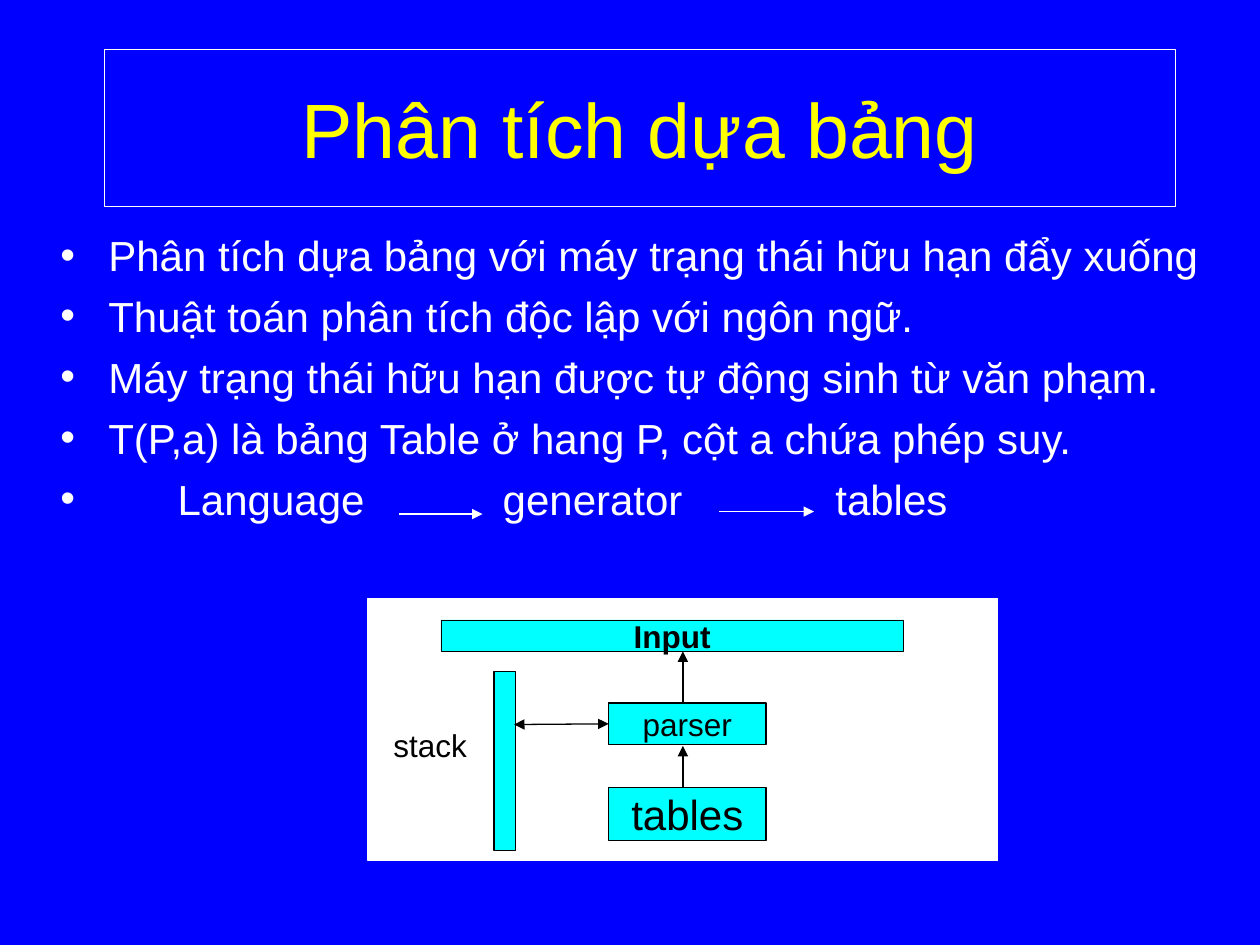
from lxml import etree
from pptx import Presentation
from pptx.dml.color import RGBColor
from pptx.enum.shapes import MSO_CONNECTOR, MSO_SHAPE
from pptx.enum.text import MSO_ANCHOR, MSO_AUTO_SIZE, PP_ALIGN
from pptx.oxml.ns import qn
from pptx.util import Inches, Pt

STRAIGHT = MSO_CONNECTOR.STRAIGHT
RECTANGLE = MSO_SHAPE.RECTANGLE
TOP, MIDDLE = MSO_ANCHOR.TOP, MSO_ANCHOR.MIDDLE
NO_AUTOFIT = MSO_AUTO_SIZE.NONE
LEFT, CENTER = PP_ALIGN.LEFT, PP_ALIGN.CENTER
LEFT_SIDE = 1

BLUE, YELLOW, CYAN = "0000FF", "FFFF00", "00FFFF"
WHITE, BLACK = "FFFFFF", "000000"

BULLETS = [
    "Phân tích dựa bảng với máy trạng thái hữu hạn đẩy xuống",
    "Thuật toán phân tích độc lập với ngôn ngữ.",
    "Máy trạng thái hữu hạn được tự động sinh từ văn phạm.",
    "T(P,a) là bảng Table ở hang P, cột a chứa phép suy.",
    "\tLanguage\tgenerator\ttables",
]
FLOW_TABS = [0.93, 3.51, 6.15]


def color(hex_string):
    return RGBColor.from_string(hex_string)


class SlideBuilder:
    font_name = "Arial"
    indent = 0.38

    def __init__(self, slide):
        self.slide = slide
        slide.background.fill.solid()
        slide.background.fill.fore_color.rgb = color(BLUE)

    def set_font(self, paragraph, size, font_color, bold=False):
        font = paragraph.font
        font.name, font.size, font.bold = self.font_name, Pt(size), bold
        font.color.rgb = color(font_color)

    def set_line(self, line, line_color, width):
        line.color.rgb = color(line_color)
        line.width = Pt(width)

    def place(self, shape, left, top, width, height):
        shape.left, shape.top = Inches(left), Inches(top)
        shape.width, shape.height = Inches(width), Inches(height)

    def title(self, text, *box):
        shape = self.slide.shapes.title
        self.place(shape, *box)
        self.set_line(shape.line, WHITE, 0.5)
        frame = shape.text_frame
        frame.text = text
        frame.auto_size, frame.vertical_anchor = NO_AUTOFIT, MIDDLE
        paragraph = frame.paragraphs[0]
        paragraph.alignment = CENTER
        self.set_font(paragraph, 44, YELLOW)

    def add_bullet(self, paragraph, tabs):
        properties = paragraph._p.get_or_add_pPr()
        properties.set("marL", str(Inches(self.indent)))
        properties.set("indent", str(-Inches(self.indent)))
        bullet_color = etree.SubElement(properties, qn("a:buClr"))
        etree.SubElement(bullet_color, qn("a:srgbClr"), val=WHITE)
        etree.SubElement(properties, qn("a:buChar"), char="•")
        if tabs:
            tab_list = etree.SubElement(properties, qn("a:tabLst"))
            for position in tabs:
                etree.SubElement(tab_list, qn("a:tab"), pos=str(Inches(position)), algn="l")

    def bullets(self, lines, *box):
        shape = self.slide.placeholders[1]
        self.place(shape, *box)
        frame = shape.text_frame
        frame.text = "\n".join(lines)
        frame.auto_size, frame.vertical_anchor = NO_AUTOFIT, TOP
        for index, paragraph in enumerate(frame.paragraphs):
            self.add_bullet(paragraph, FLOW_TABS if "\t" in lines[index] else [])
            paragraph.alignment = LEFT
            paragraph.space_before = Pt(6 if index else 0)
            self.set_font(paragraph, 24, WHITE)

    def box(self, left, top, width, height, text="", fill=CYAN, line=BLACK,
            line_width=0.75, size=18, bold=False):
        shape = self.slide.shapes.add_shape(
            RECTANGLE, Inches(left), Inches(top), Inches(width), Inches(height))
        shape.shadow.inherit = False
        shape.fill.solid()
        shape.fill.fore_color.rgb = color(fill)
        self.set_line(shape.line, line, line_width)
        if text:
            frame = shape.text_frame
            frame.text = text
            frame.word_wrap, frame.vertical_anchor = False, MIDDLE
            paragraph = frame.paragraphs[0]
            paragraph.alignment = CENTER
            self.set_font(paragraph, size, BLACK, bold)
        return shape

    def arrow(self, start, end, line_color=BLACK, both_ends=False):
        connector = self.slide.shapes.add_connector(
            STRAIGHT, *(Inches(value) for value in (*start, *end)))
        self.set_line(connector.line, line_color, 0.75)
        line = connector.line._get_or_add_ln()
        for tag in ("a:headEnd", "a:tailEnd") if both_ends else ("a:tailEnd",):
            etree.SubElement(line, qn(tag), type="triangle")
        etree.SubElement(connector._element.spPr, qn("a:effectLst"))
        return connector


def main():
    presentation = Presentation()
    presentation.slide_width, presentation.slide_height = Inches(10), Inches(7.5)
    builder = SlideBuilder(presentation.slides.add_slide(presentation.slide_layouts[1]))

    builder.title("Phân tích dựa bảng", 0.83, 0.39, 8.5, 1.25)
    builder.bullets(BULLETS, 0.38, 1.77, 9.42, 5.48)
    builder.arrow((3.17, 4.08), (3.83, 4.08), WHITE)
    builder.arrow((5.71, 4.06), (6.46, 4.06), WHITE)

    builder.box(2.92, 4.75, 5, 2.08, fill=WHITE, line=WHITE)
    parser = builder.box(4.83, 5.58, 1.25, 0.33, "parser")
    builder.box(3.92, 5.33, 0.17, 1.42)
    builder.box(3.5, 4.92, 3.67, 0.25, "Input", line_width=0.25, bold=True)
    builder.box(4.83, 6.25, 1.25, 0.42, "tables", size=24)
    builder.box(3, 5.75, 0.83, 0.33, "stack", fill=WHITE, line=WHITE)

    builder.arrow((5.42, 6.25), (5.42, 5.92))
    stack_link = builder.arrow((4.08, 5.75), (4.83, 5.75), both_ends=True)
    stack_link.end_connect(parser, LEFT_SIDE)
    builder.arrow((5.42, 5.58), (5.42, 5.17))

    presentation.save("out.pptx")


if __name__ == "__main__":
    main()
